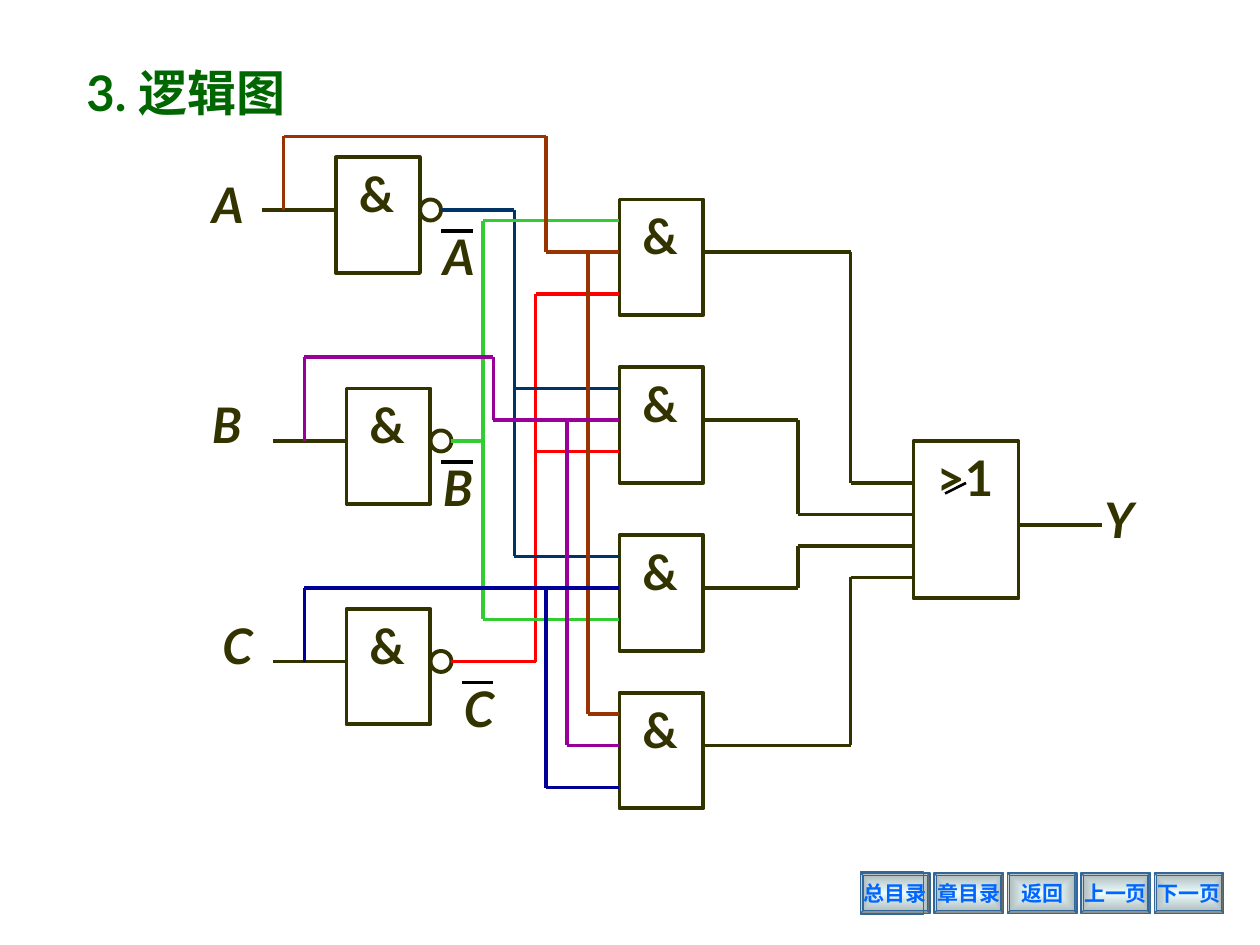
"""Build the logic diagram slide: three inverters, four AND gates, one OR gate."""
from itertools import pairwise

from lxml import etree
from pptx import Presentation
from pptx import util as u
from pptx.dml.color import RGBColor
from pptx.enum import shapes, text
from pptx.oxml import parse_xml
from pptx.oxml.ns import nsdecls, qn

INK = "333300"
BUTTON_EDGE = "336699"
LABEL_HEIGHT = 6.8
GATE_SIZE = (8, 11)
INVERTERS = {"A": (32, 15), "B": (33, 37), "C": (33, 58)}
INPUT_LABELS = {"A": (19, 16), "B": (19, 37), "C": (20, 58)}
COMPLEMENTS = {"A": (41, 21), "B": (41, 43), "C": (43, 64)}
AND_TOPS = (19, 35, 51, 66)
WIRES = [
    ("FF0000", [(43, 63), (51, 63), (51, 28), (59, 28)]),
    ("FF0000", [(51, 43), (59, 43)]),
    ("003366", [(42, 20), (49, 20), (49, 53), (59, 53)]),
    ("003366", [(49, 37), (59, 37)]),
    ("33CC33", [(43, 42), (46, 42)]),
    ("33CC33", [(59, 21), (46, 21), (46, 59), (59, 59)]),
    ("993300", [(27, 20), (27, 13), (52, 13), (52, 24), (59, 24)]),
    ("993300", [(56, 24), (56, 68), (59, 68)]),
    ("990099", [(29, 42), (29, 34), (47, 34), (47, 40), (59, 40)]),
    ("990099", [(54, 40), (54, 71), (59, 71)]),
    ("000099", [(29, 63), (29, 56), (59, 56)]),
    ("000099", [(52, 56), (52, 75), (59, 75)]),
    (INK, [(67, 24), (81, 24), (81, 46), (87, 46)]),
    (INK, [(67, 40), (76, 40), (76, 49), (87, 49)]),
    (INK, [(67, 56), (76, 56), (76, 52), (87, 52)]),
    (INK, [(67, 71), (81, 71), (81, 55), (87, 55)]),
    (INK, [(97, 50), (105, 50)]),
]
BUTTONS = ("总目录", "章目录", "返回", "上一页", "下一页")


def colour(value):
    """Turn a hex string into a colour."""
    return RGBColor.from_string(value)


def grid(*steps):
    """Turn steps of a twelfth of an inch into lengths."""
    return [u.Cm(step * 2.54 / 12) for step in steps]


def style(paragraph, size, ink, font="Lato", italic=False):
    """Format a whole paragraph in bold."""
    paragraph.font.name = font
    paragraph.font.size = u.Pt(size)
    paragraph.font.bold = True
    paragraph.font.italic = italic
    paragraph.font.color.rgb = colour(ink)


def add_label(slide, wording, x, y, width, italic=False):
    """Add a large symbol or variable name."""
    frame = slide.shapes.add_textbox(*grid(x, y, width, LABEL_HEIGHT)).text_frame
    frame.word_wrap = True
    frame.auto_size = text.MSO_AUTO_SIZE.SHAPE_TO_FIT_TEXT
    frame.text = wording
    frame.paragraphs[0].space_before = u.Pt(17.5)
    style(frame.paragraphs[0], 28, INK, italic=italic)


def add_outline(slide, kind, bounds, edge=INK, weight=2.25):
    """Add an unfilled preset shape."""
    outline = slide.shapes.add_shape(kind, *bounds)
    outline.shadow.inherit = False
    outline.fill.background()
    outline.line.color.rgb = colour(edge)
    outline.line.width = u.Pt(weight)
    return outline


def add_wire(slide, points, ink=INK, weight=2.25):
    """Join successive grid points with straight lines."""
    for start, end in pairwise(points):
        wire = slide.shapes.add_connector(
            shapes.MSO_CONNECTOR.STRAIGHT, *grid(*start, *end))
        wire.line.color.rgb = colour(ink)
        wire.line.width = u.Pt(weight)
        etree.SubElement(wire._element.spPr, qn("a:effectLst"))


def add_gate(slide, symbol, x, y, size=GATE_SIZE, label_width=6):
    """Add a gate box with its symbol."""
    add_outline(slide, shapes.MSO_SHAPE.RECTANGLE, grid(x, y, *size))
    add_label(slide, symbol, x + 1, y, label_width)


def add_inverter(slide, name, x, y):
    """Add an inverter with its input, bubble and complement label."""
    add_gate(slide, "&", x, y)
    add_outline(slide, shapes.MSO_SHAPE.OVAL, grid(x + 8, y + 4, 2, 2))
    add_wire(slide, [(x - 7, y + 5), (x, y + 5)])
    add_label(slide, name, *INPUT_LABELS[name], 8, italic=True)
    left, top = COMPLEMENTS[name]
    add_label(slide, name, left, top, 8, italic=True)
    add_wire(slide, [(left + 1, top + 1), (left + 4, top + 1)], "000000")


def add_button(slide, wording, left):
    """Add a bevelled navigation button with a radial gradient."""
    button = add_outline(slide, shapes.MSO_SHAPE.BEVEL,
                         (left, u.Cm(17.6), u.Cm(1.4), u.Cm(0.81)),
                         BUTTON_EDGE, 0.75)
    button.adjustments[0] = 0.06
    button.fill.gradient()
    for stop, shade in zip(button.fill.gradient_stops, ("ECFDFE", "AAB6B7")):
        stop.color.rgb = colour(shade)
    linear = button._element.spPr.find(".//" + qn("a:lin"))
    linear.getparent().replace(linear, parse_xml(
        f'<a:path {nsdecls("a")} path="rect"><a:fillToRect l="50000" '
        't="50000" r="50000" b="50000"/></a:path>'))
    frame = button.text_frame
    frame.word_wrap = False
    frame.vertical_anchor = text.MSO_ANCHOR.MIDDLE
    frame.text = wording
    frame.paragraphs[0].alignment = text.PP_ALIGN.CENTER
    style(frame.paragraphs[0], 12, "0066FF", "Times New Roman")


def set_title(slide, wording):
    """Place and format the slide title."""
    title = slide.shapes.title
    title.left, title.top = u.Cm(1.25), u.Cm(1.14)
    title.width, title.height = u.Cm(5.1), u.Cm(1.45)
    frame = title.text_frame
    frame.text = wording
    frame.word_wrap = False
    frame.auto_size = text.MSO_AUTO_SIZE.NONE
    frame.vertical_anchor = text.MSO_ANCHOR.TOP
    frame.paragraphs[0].alignment = text.PP_ALIGN.LEFT
    frame.paragraphs[0].space_before = u.Pt(17.5)
    style(frame.paragraphs[0], 28, "006600")


def main():
    """Build and save the slide."""
    deck = Presentation()
    deck.slide_width, deck.slide_height = u.Cm(25.4), u.Cm(19.05)
    slide = deck.slides.add_slide(deck.slide_layouts[5])
    set_title(slide, " 3. 逻辑图")
    for index, wording in enumerate(BUTTONS):
        add_button(slide, wording, u.Cm(17.35 + 1.48 * index))
    add_outline(slide, shapes.MSO_SHAPE.RECTANGLE,
                (u.Cm(17.35), u.Cm(17.58), u.Cm(1.27), u.Cm(0.86)),
                BUTTON_EDGE, 0.75)
    for name, corner in INVERTERS.items():
        add_inverter(slide, name, *corner)
    for top in AND_TOPS:
        add_gate(slide, "&", 59, top)
    add_gate(slide, ">1", 87, 42, size=(10, 15), label_width=9)
    add_wire(slide, [(92, 46), (90, 47)], "000000", 1.5)
    for ink, points in WIRES:
        add_wire(slide, points, ink)
    add_label(slide, "Y", 104, 46, 8, italic=True)
    deck.save("out.pptx")


if __name__ == "__main__":
    main()
